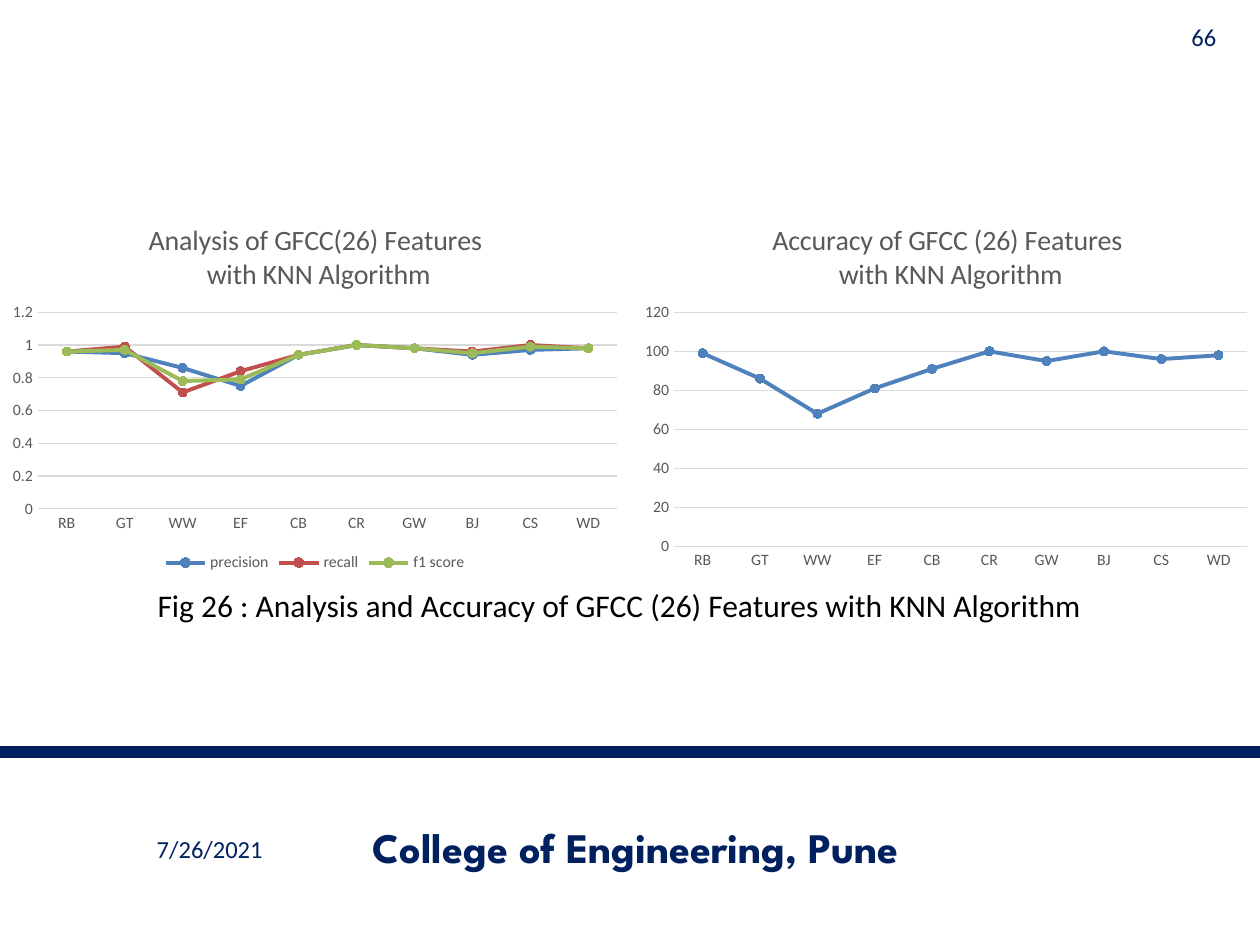
from dataclasses import dataclass

from lxml.etree import SubElement
from pptx import Presentation
from pptx.chart.data import CategoryChartData
from pptx.dml.color import RGBColor
from pptx.enum.chart import XL_CHART_TYPE as ChartType
from pptx.enum.chart import XL_LEGEND_POSITION as LegendPosition
from pptx.enum.chart import XL_MARKER_STYLE as MarkerStyle
from pptx.enum.chart import XL_TICK_MARK as TickMark
from pptx.enum.shapes import MSO_CONNECTOR as Connector
from pptx.enum.text import MSO_ANCHOR as Anchor
from pptx.enum.text import PP_ALIGN as Align
from pptx.oxml import parse_xml
from pptx.oxml.ns import nsdecls, qn
from pptx.util import Cm, Pt

NAVY = RGBColor(0x00, 0x20, 0x60)
BLACK = RGBColor(0x00, 0x00, 0x00)
GRAY = RGBColor(0x59, 0x59, 0x59)
LIGHT_GRAY = RGBColor(0xD9, 0xD9, 0xD9)
SERIES_COLORS = (
    RGBColor(0x4F, 0x81, 0xBD),
    RGBColor(0xC0, 0x50, 0x4D),
    RGBColor(0x9B, 0xBB, 0x59),
)
BODY_FONT = "Calibri"
CLASSES = ("RB", "GT", "WW", "EF", "CB", "CR", "GW", "BJ", "CS", "WD")
PAGE_WIDTH, PAGE_HEIGHT = Cm(25.4), Cm(19.05)
CHART_TOP, CHART_HEIGHT = Cm(4.01), Cm(7.62)


@dataclass(frozen=True)
class Label:
    text: str
    left: float
    top: float
    width: float
    height: float
    size: int
    align: Align = Align.CENTER
    font: str = BODY_FONT
    color: RGBColor = NAVY
    bold: bool = False
    anchor: Anchor = Anchor.MIDDLE


@dataclass(frozen=True)
class LineChart:
    """Layouts are fractions of the chart area."""
    title: tuple[str, ...]
    series: dict[str, tuple[float, ...]]
    axis_maximum: float
    axis_step: float
    title_layout: dict[str, float]
    plot_layout: dict[str, float]


LABELS = (
    Label("7/26/2021", 1.27, 16.59, 5.92, 1.02, 14),
    Label("College of Engineering, Pune", 6.15, 16.56, 13.34, 1.02, 24,
          font="League Spartan", bold=True),
    Label("66", 23.5, 0.38, 1.27, 0.71, 14, align=Align.RIGHT),
    Label("Fig 26 : Analysis and Accuracy of GFCC (26) Features with KNN Algorithm",
          0.64, 11.68, 23.7, 1.02, 18, color=BLACK, anchor=Anchor.TOP),
)

CHARTS = (
    LineChart(
        ("Analysis of GFCC(26) Features ", "with KNN Algorithm"),
        {
            "precision": (0.96, 0.95, 0.86, 0.75, 0.94, 1, 0.98, 0.94, 0.97, 0.98),
            "recall": (0.96, 0.99, 0.71, 0.84, 0.94, 1, 0.98, 0.96, 1, 0.98),
            "f1 score": (0.96, 0.97, 0.78, 0.79, 0.94, 1, 0.98, 0.95, 0.99, 0.98),
        },
        1.2, 0.2,
        {"x": 0.23, "y": 0.05},
        {"x": 0.06, "y": 0.3, "w": 0.92, "h": 0.52},
    ),
    LineChart(
        ("Accuracy of GFCC (26) Features ", "with KNN Algorithm"),
        {"Series 1": (99, 86, 68, 81, 91, 100, 95, 100, 96, 98)},
        120, 20,
        {"x": 0.22, "y": 0.05},
        {"x": 0.07, "y": 0.3, "w": 0.91, "h": 0.62},
    ),
)


def style_font(font, size: int, color: RGBColor, name: str = BODY_FONT,
               bold: bool = False) -> None:
    font.name, font.size, font.bold = name, Pt(size), bold
    font.color.rgb = color


def style_line(line, color: RGBColor, width: float) -> None:
    line.color.rgb = color
    line.width = Pt(width)


def add_label(page, label: Label) -> None:
    box = page.shapes.add_textbox(
        Cm(label.left), Cm(label.top), Cm(label.width), Cm(label.height))
    frame = box.text_frame
    frame.word_wrap = True
    frame.vertical_anchor = label.anchor
    para = frame.paragraphs[0]
    para.alignment = label.align
    span = para.add_run()
    span.text = label.text
    style_font(span.font, label.size, label.color, label.font, label.bold)


def add_footer_rule(page) -> None:
    height = Cm(15.16)
    rule = page.shapes.add_connector(Connector.STRAIGHT, 0, height, PAGE_WIDTH, height)
    style_line(rule.line, NAVY, 6.5)
    SubElement(rule._element.spPr, qn("a:effectLst"))


def set_layout(element, fractions: dict[str, float], inner: bool = False) -> None:
    """Place a chart title or plot area by hand."""
    for old in element.findall(qn("c:layout")):
        element.remove(old)
    target = '<c:layoutTarget val="inner"/>' if inner else ""
    modes = "".join(f'<c:{key}Mode val="edge"/>' for key in "xy")
    values = "".join(f'<c:{key} val="{value}"/>' for key, value in fractions.items())
    layout = parse_xml(f'<c:layout {nsdecls("c")}><c:manualLayout>'
                       f'{target}{modes}{values}</c:manualLayout></c:layout>')
    text = element.find(qn("c:tx"))
    element.insert(0 if text is None else element.index(text) + 1, layout)


def add_title(chart, spec_title: tuple[str, ...], layout: dict[str, float]) -> None:
    chart.has_title = True
    title = chart.chart_title
    frame = title.text_frame
    for index, text in enumerate(spec_title):
        para = frame.add_paragraph() if index else frame.paragraphs[0]
        para.alignment = Align.CENTER
        span = para.add_run()
        span.text = text
        style_font(span.font, 16, GRAY)
    title.include_in_layout = False
    set_layout(title._element, layout)


def style_axes(chart, maximum: float, step: float) -> None:
    for axis in (chart.category_axis, chart.value_axis):
        axis.major_tick_mark = axis.minor_tick_mark = TickMark.NONE
        style_font(axis.tick_labels.font, 9, GRAY)
    style_line(chart.category_axis.format.line, LIGHT_GRAY, 0.75)
    values = chart.value_axis
    values.minimum_scale, values.maximum_scale, values.major_unit = 0, maximum, step
    values.format.line.fill.background()
    values.has_major_gridlines = True
    style_line(values.major_gridlines.format.line, LIGHT_GRAY, 0.75)


def add_line_chart(page, info: LineChart, left: int, width: int) -> None:
    data = CategoryChartData()
    data.categories = CLASSES
    for name, values in info.series.items():
        data.add_series(name, values)
    chart = page.shapes.add_chart(
        ChartType.LINE_MARKERS, left, CHART_TOP, width, CHART_HEIGHT, data).chart
    style_font(chart.font, 10, BLACK)
    add_title(chart, info.title, info.title_layout)
    style_axes(chart, info.axis_maximum, info.axis_step)

    plot = chart.plots[0]
    plot.vary_by_categories = False
    for series, color in zip(plot.series, SERIES_COLORS):
        series.smooth = False
        style_line(series.format.line, color, 2.25)
        marker = series.marker
        marker.style, marker.size = MarkerStyle.CIRCLE, 5
        marker.format.fill.solid()
        marker.format.fill.fore_color.rgb = color
        style_line(marker.format.line, color, 0.75)
    set_layout(chart._chartSpace.chart.plotArea, info.plot_layout, inner=True)

    chart.has_legend = len(info.series) > 1
    if chart.has_legend:
        chart.legend.position = LegendPosition.BOTTOM
        chart.legend.include_in_layout = False
        style_font(chart.legend.font, 9, GRAY)


def main() -> None:
    deck = Presentation()
    deck.slide_width, deck.slide_height = PAGE_WIDTH, PAGE_HEIGHT
    page = deck.slides.add_slide(deck.slide_layouts[6])
    add_footer_rule(page)
    chart_width = PAGE_WIDTH // len(CHARTS)
    for index, info in enumerate(CHARTS):
        add_line_chart(page, info, index * chart_width, chart_width)
    for label in LABELS:
        add_label(page, label)
    deck.save("out.pptx")


if __name__ == "__main__":
    main()
